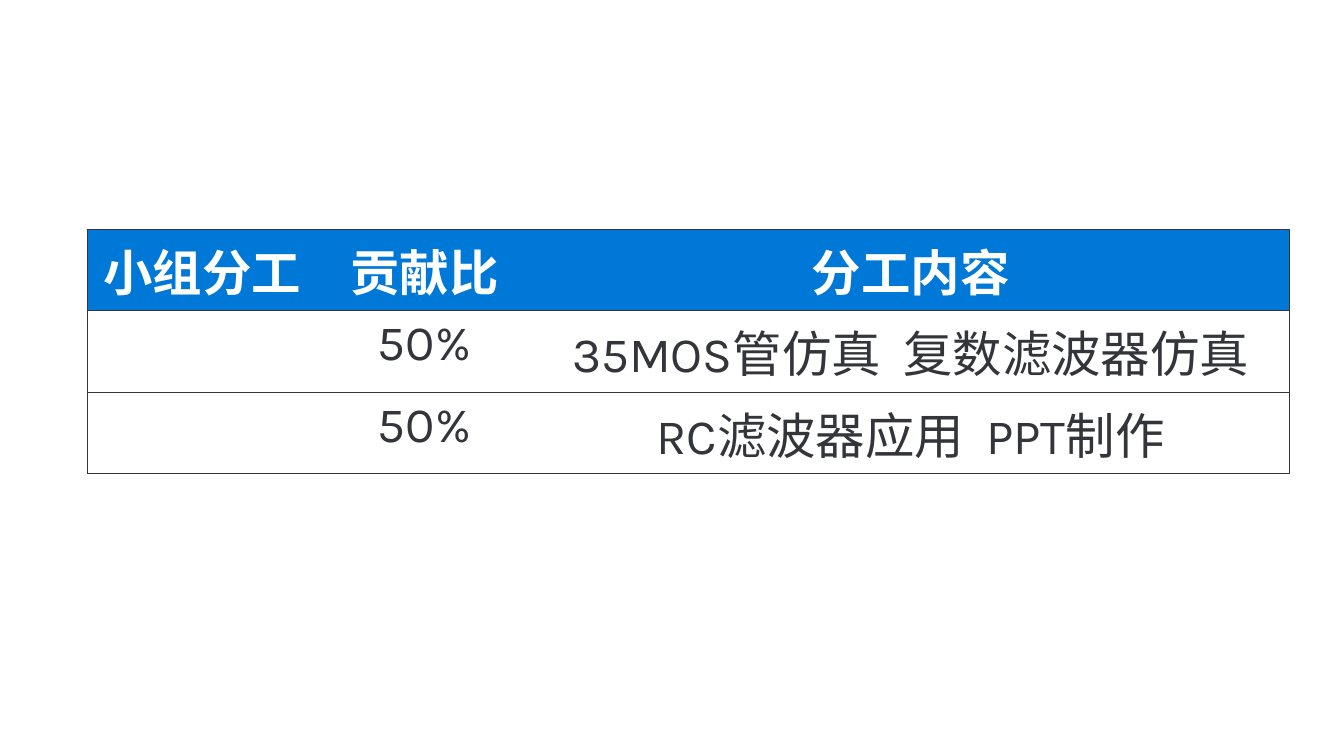
from lxml.etree import SubElement
from pptx import Presentation
from pptx.dml.color import RGBColor
from pptx.enum.text import PP_ALIGN
from pptx.oxml.ns import qn
from pptx.util import Inches, Pt

WIDE, HIGH = 13.6, 7.65
BLUE, WHITE, INK = "0078D7", "FFFFFF", "33353A"
BOX = (0.88, 2.32, 12.17, 2.4)
COLS = (2.33, 2.17, 7.67)
ROWS = (0.78, 0.81, 0.81)
FONT = {"name": "Karla", "size": Pt(36)}
HEAD = {**FONT, "bold": True}
BODY = {**FONT, "bold": False}
PLAIN = {"first_row": False, "horz_banding": False}
TEXT = (
    ("小组分工", "贡献比", "分工内容"),
    ("", "50%", "35MOS管仿真  复数滤波器仿真"),
    ("", "50%", "RC滤波器应用  PPT制作"),
)


def tint(code):
    return RGBColor.from_string(code)


def assign(item, values):
    for name, value in values.items():
        setattr(item, name, value)


def rule(cell, side, code):
    """Draw one cell edge, or clear it when no colour is given."""
    line = SubElement(cell._tc.get_or_add_tcPr(), qn(f"a:ln{side}"), w=str(Pt(0.75)))
    if code:
        fill = SubElement(line, qn("a:solidFill"))
        SubElement(fill, qn("a:srgbClr"), val=code)
    else:
        SubElement(line, qn("a:noFill"))


def fill_cell(cell, text, head, edges):
    # Edges come before the fill in the cell's properties
    for side, code in edges.items():
        rule(cell, side, code)
    if head:
        cell.fill.solid()
        cell.fill.fore_color.rgb = tint(BLUE)
    else:
        cell.fill.background()
    if text:
        para = cell.text_frame.paragraphs[0]
        para.alignment = PP_ALIGN.CENTER
        run = para.add_run()
        run.text = text
        assign(run.font, HEAD if head else BODY)
        run.font.color.rgb = tint(WHITE if head else INK)


def add_grid(slide, box):
    """Place the table of group duties in the given box."""
    left, top, width, height = box
    frame = slide.shapes.add_table(
        len(ROWS), len(COLS), *map(Inches, box))
    table = frame.table
    assign(table, PLAIN)

    # Column and row sizes, scaled to the box
    for col, size in zip(table.columns, COLS):
        col.width = Inches(width * size / sum(COLS))
    for row, size in zip(table.rows, ROWS):
        row.height = Inches(height * size / sum(ROWS))

    # Ruled rows inside an outer frame
    last = len(COLS) - 1
    for r, line in enumerate(TEXT):
        for c, text in enumerate(line):
            edges = {"L": INK if c == 0 else None,
                     "R": INK if c == last else None,
                     "T": INK, "B": INK}
            fill_cell(table.cell(r, c), text, r == 0, edges)


def main():
    deck = Presentation()
    assign(deck, {"slide_width": Inches(WIDE), "slide_height": Inches(HIGH)})
    slide = deck.slides.add_slide(deck.slide_layouts[6])
    add_grid(slide, BOX)
    deck.save("out.pptx")


if __name__ == "__main__":
    main()
